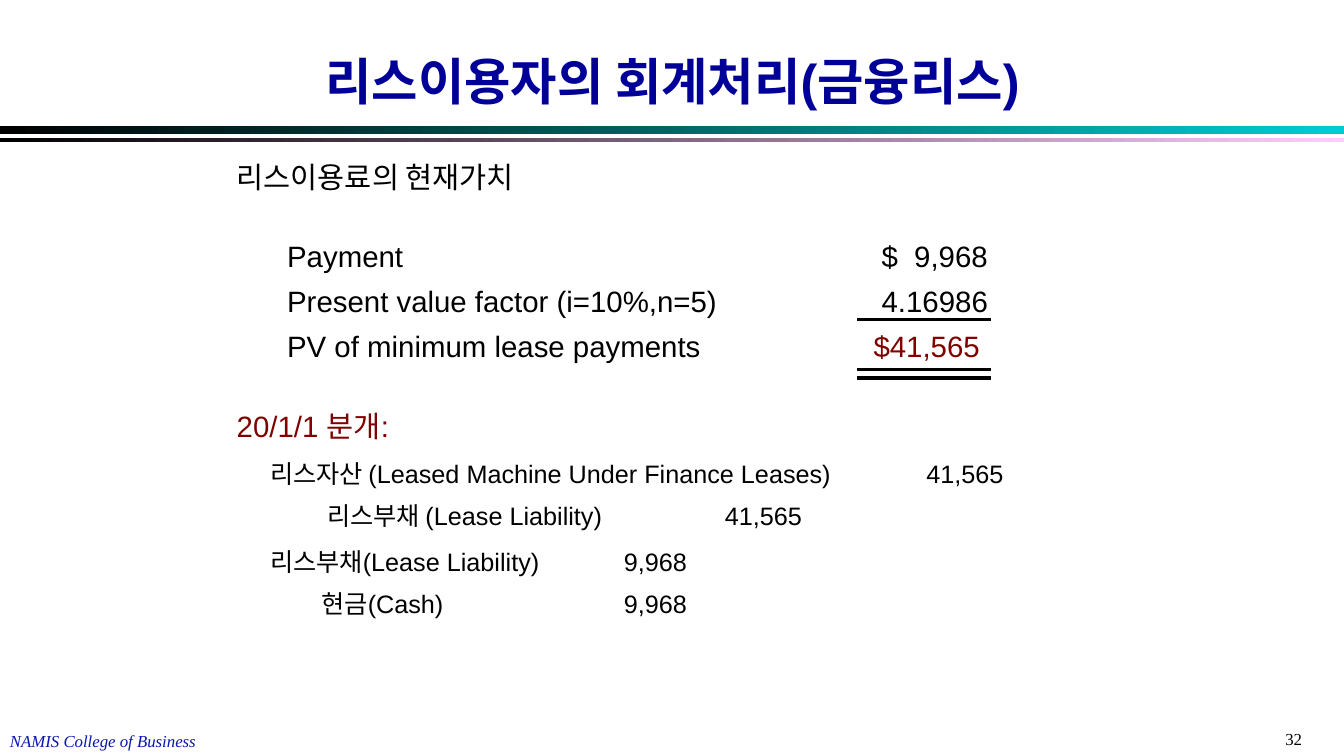
from lxml import etree
from pptx import Presentation
from pptx import util as u
from pptx.dml import color
from pptx.enum import shapes, text
from pptx.oxml import ns

BLACK, MAROON, NAVY, BLUE = "000000", "800000", "000099", "0915AF"


def rgb(value):
    return color.RGBColor.from_string(value)


def add_run(paragraph, words, size, hue=BLACK, font="Arial", bold=False, italic=False):
    run = paragraph.add_run()
    run.text = words
    run.font.size = u.Pt(size)
    run.font.name = font
    run.font.bold = bold
    run.font.italic = italic
    run.font.color.rgb = rgb(hue)


def add_text_frame(slide, box):
    frame = slide.shapes.add_textbox(*map(u.Inches, box)).text_frame
    frame.word_wrap = True
    return frame


def next_paragraph(frame, index, before, spacing):
    paragraph = frame.add_paragraph() if index else frame.paragraphs[0]
    paragraph.space_before = u.Pt(before)
    paragraph.line_spacing = spacing
    return paragraph


def set_tabs(paragraph, positions, alignment):
    properties = paragraph._p.get_or_add_pPr()
    tabs = etree.SubElement(properties, ns.qn("a:tabLst"))
    for position in positions:
        etree.SubElement(tabs, ns.qn("a:tab"), pos=str(u.Inches(position)), algn=alignment)


def add_title(slide, box):
    title = slide.shapes.title
    title.left, title.top, title.width, title.height = map(u.Inches, box)
    frame = title.text_frame
    frame.vertical_anchor = text.MSO_ANCHOR.BOTTOM
    frame.auto_size = text.MSO_AUTO_SIZE.NONE
    paragraph = frame.paragraphs[0]
    paragraph.alignment = text.PP_ALIGN.CENTER
    add_run(paragraph, "리스이용자의 회계처리(금융리스)", 36, NAVY, bold=True)


def add_header_bands(slide, box):
    left, top, width, _ = box
    for offset, height, end in ((0, 0.08, "00CCCC"), (0.12, 0.04, "FFCCFF")):
        band = slide.shapes.add_shape(
            shapes.MSO_SHAPE.RECTANGLE, *map(u.Inches, (left, top + offset, width, height)))
        band.shadow.inherit = False
        band.line.fill.background()
        band.fill.gradient()
        band.fill.gradient_angle = 0
        for stop, hue in zip(band.fill.gradient_stops, (BLACK, end)):
            stop.color.rgb = rgb(hue)


def add_heading(slide, box, words, hue, spacing=1.0):
    paragraph = next_paragraph(add_text_frame(slide, box), 0, 7, spacing)
    add_run(paragraph, words, 21, hue)


def add_present_value(slide, box):
    left, top, _, _ = box
    frame = add_text_frame(slide, box)
    rows = (
        ("Payment", "$  9,968", BLACK, 6.95),
        ("Present value factor (i=10%,n=5)", "4.16986", BLACK, 6.95),
        ("PV of minimum lease payments", "$41,565", MAROON, 6.87),
    )
    for index, (label, amount, hue, tab) in enumerate(rows):
        paragraph = next_paragraph(frame, index, 2, 1.2)
        set_tabs(paragraph, [tab], "r")
        add_run(paragraph, label + "\t", 21)
        add_run(paragraph, amount, 21, hue)
    for offset in (0.93, 1.43, 1.51):
        rule = slide.shapes.add_connector(
            shapes.MSO_CONNECTOR.STRAIGHT,
            *map(u.Inches, (left + 5.75, top + offset, left + 7.08, top + offset)))
        rule.line.color.rgb = rgb(BLACK)
        rule.line.width = u.Pt(2.25)
        etree.SubElement(rule._element.spPr, ns.qn("a:effectLst"))


def add_journal(slide, box):
    frame = add_text_frame(slide, box)
    entries = (
        ("리스자산 (Leased Machine Under Finance Leases)\t41,565", [6.51], 4),
        ("\t 리스부채 (Lease Liability)\t41,565", [0.51, 4.51], 4),
        ("리스부채(Lease Liability)\t9,968", [3.51], 7),
        ("\t현금(Cash)\t9,968", [0.51, 3.51], 4),
    )
    for index, (words, tabs, before) in enumerate(entries):
        paragraph = next_paragraph(frame, index, before, 1.2)
        set_tabs(paragraph, tabs, "l")
        add_run(paragraph, words, 18)


def add_footer(slide, box):
    left, top, width, height = box
    school = add_text_frame(slide, (left, top + 0.02, 2.69, height))
    add_run(school.paragraphs[0], "NAMIS College of Business", 12, BLUE,
            "Times New Roman", italic=True)
    number = add_text_frame(slide, (left + width - 0.68, top, 0.68, height))
    add_run(number.paragraphs[0], "32", 12, font="Times New Roman")


def main():
    presentation = Presentation()
    presentation.slide_width = u.Inches(13.33)
    presentation.slide_height = u.Inches(7.5)
    slide = presentation.slides.add_slide(presentation.slide_layouts[5])
    add_header_bands(slide, (0, 1.25, 13.33, 0.16))
    add_footer(slide, (0, 7.18, 13.33, 0.3))
    add_present_value(slide, (2.75, 2.24, 8, 1.43))
    add_journal(slide, (2.58, 4.44, 8.58, 1.76))
    add_heading(slide, (2.25, 4, 5, 0.45), "20/1/1 분개:", MAROON)
    add_heading(slide, (2.25, 1.48, 8.92, 0.47), "리스이용료의 현재가치", BLACK, 1.15)
    add_title(slide, (2.42, 0.57, 8.5, 0.58))
    presentation.save("out.pptx")


if __name__ == "__main__":
    main()
